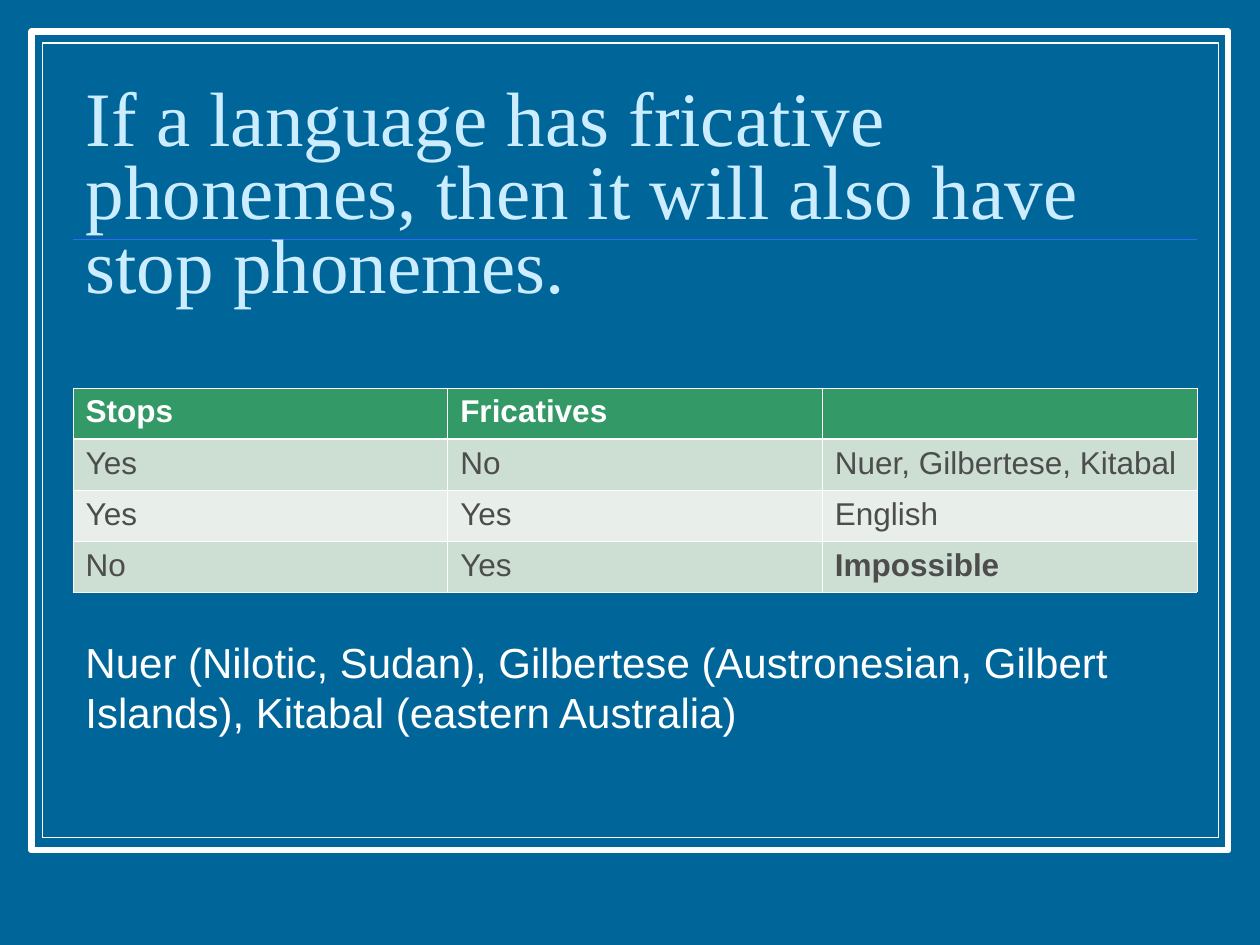
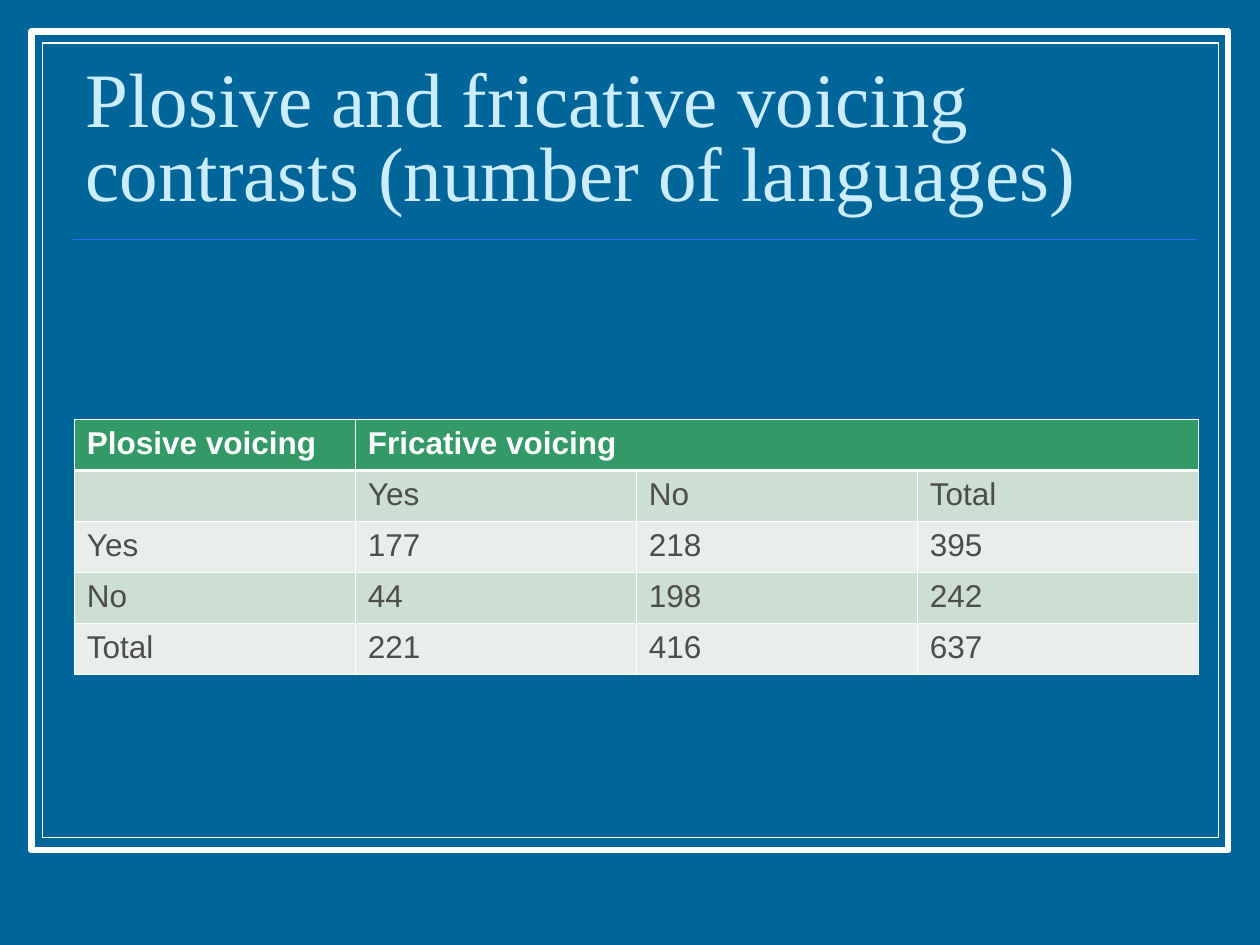
from lxml.etree import SubElement
from pptx import Presentation
from pptx.dml.color import RGBColor
from pptx.enum.shapes import MSO_CONNECTOR, MSO_SHAPE
from pptx.enum.text import MSO_ANCHOR, MSO_AUTO_SIZE, PP_ALIGN
from pptx.oxml.ns import qn
from pptx.util import Inches, Pt

SLIDES = [
    {
        "title": "If a language has fricative phonemes, then it will also have stop phonemes.",
        "title_height": 1.98,
        "table_at": (0.58, 3.08),
        "rows": [
            ["Stops", "Fricatives", ""],
            ["Yes", "No", "Nuer, Gilbertese, Kitabal"],
            ["Yes", "Yes", "English"],
            ["No", "Yes", "Impossible"],
        ],
        "bold": ["Impossible"],
        "note": "Nuer (Nilotic, Sudan), Gilbertese (Austronesian, Gilbert Islands), "
                "Kitabal (eastern Australia)",
    },
    {
        "title": "Plosive and fricative voicing contrasts (number of languages)",
        "title_height": 1.25,
        "table_at": (0.59, 3.33),
        "rows": [
            ["Plosive voicing", "Fricative voicing", "", ""],
            ["", "Yes", "No", "Total"],
            ["Yes", "177", "218", "395"],
            ["No", "44", "198", "242"],
            ["Total", "221", "416", "637"],
        ],
        "header_span": (1, 3),
    },
]

BLUE = RGBColor(0x00, 0x66, 0x99)
WHITE = RGBColor(0xFF, 0xFF, 0xFF)
RULE_BLUE = RGBColor(0x33, 0x66, 0xFF)
PALE_BLUE = RGBColor(0xCC, 0xEC, 0xFF)
GREEN = RGBColor(0x33, 0x99, 0x66)
BANDS = [RGBColor(0xE8, 0xEF, 0xEA), RGBColor(0xCD, 0xDE, 0xD3)]
GREY = RGBColor(0x4D, 0x4D, 0x4D)

TITLE_FONT, BODY_FONT = "Times New Roman", "Arial"
LEFT, WIDTH = 0.58, 8.92
TITLE_TOP, RULE_TOP, NOTE_TOP = 0.52, 1.9, 5
ROW_HEIGHT = 0.405
THIN, THICK = 0.45, 1.47
FRAMES = [((0.25, 0.25, 9.5, 6.5), 3.5), ((0.34, 0.34, 9.33, 6.31), 0.75)]


def write(paragraph, text, font_name, size, color, bold=False):
    run = paragraph.add_run()
    run.text = text
    run.font.name = font_name
    run.font.size = Pt(size)
    run.font.color.rgb = color
    run.font.bold = bold


def add_frame(slide):
    for box, weight in FRAMES:
        frame = slide.shapes.add_shape(MSO_SHAPE.RECTANGLE, *map(Inches, box))
        frame.shadow.inherit = False
        frame.fill.solid()
        frame.fill.fore_color.rgb = BLUE
        frame.line.color.rgb = WHITE
        frame.line.width = Pt(weight)
    rule = slide.shapes.add_connector(
        MSO_CONNECTOR.STRAIGHT,
        Inches(LEFT), Inches(RULE_TOP), Inches(LEFT + WIDTH), Inches(RULE_TOP))
    rule.line.color.rgb = RULE_BLUE
    rule.line.width = Pt(1)
    SubElement(rule.element.spPr, qn("a:effectLst"))


def add_title(slide, text, height):
    title = slide.shapes.title
    title.element.getparent().append(title.element)
    title.left, title.top = Inches(LEFT), Inches(TITLE_TOP)
    title.width, title.height = Inches(WIDTH), Inches(height)
    frame = title.text_frame
    frame.auto_size = MSO_AUTO_SIZE.NONE
    frame.vertical_anchor = MSO_ANCHOR.BOTTOM
    paragraph = frame.paragraphs[0]
    paragraph.alignment = PP_ALIGN.LEFT
    paragraph.line_spacing = 0.8
    write(paragraph, text, TITLE_FONT, 44, PALE_BLUE)


def set_borders(cell, top, bottom):
    properties = cell._tc.get_or_add_tcPr()
    for side, weight in zip("LRTB", (THIN, THIN, top, bottom)):
        border = SubElement(properties, qn(f"a:ln{side}"), w=str(Pt(weight)))
        fill = SubElement(border, qn("a:solidFill"))
        SubElement(fill, qn("a:srgbClr"), val=str(WHITE))


def add_table(slide, rows, at, bold=(), header_span=None):
    left, top = map(Inches, at)
    table = slide.shapes.add_table(
        len(rows), len(rows[0]), left, top,
        Inches(WIDTH), Inches(ROW_HEIGHT * len(rows))).table
    for r, row in enumerate(rows):
        header = r == 0
        for c, text in enumerate(row):
            cell = table.cell(r, c)
            set_borders(cell, THICK if r == 1 else THIN, THICK if header else THIN)
            cell.fill.solid()
            cell.fill.fore_color.rgb = GREEN if header else BANDS[r % 2]
            if text:
                write(cell.text_frame.paragraphs[0], text, BODY_FONT, 18,
                      WHITE if header else GREY, header or text in bold)
    if header_span:
        first, last = header_span
        table.cell(0, first).merge(table.cell(0, last))


def add_note(slide, text):
    note = slide.shapes.add_textbox(
        Inches(LEFT), Inches(NOTE_TOP), Inches(WIDTH), Inches(0.9))
    note.text_frame.word_wrap = True
    write(note.text_frame.paragraphs[0], text, BODY_FONT, 24, WHITE)


def main():
    deck = Presentation()
    deck.slide_width, deck.slide_height = Inches(10), Inches(7.5)
    background = deck.slide_master.background.fill
    background.solid()
    background.fore_color.rgb = BLUE
    title_only = deck.slide_layouts[5]
    for content in SLIDES:
        slide = deck.slides.add_slide(title_only)
        add_frame(slide)
        add_title(slide, content["title"], content["title_height"])
        add_table(slide, content["rows"], content["table_at"],
                  content.get("bold", ()), content.get("header_span"))
        if "note" in content:
            add_note(slide, content["note"])
    deck.save("out.pptx")


if __name__ == "__main__":
    main()
